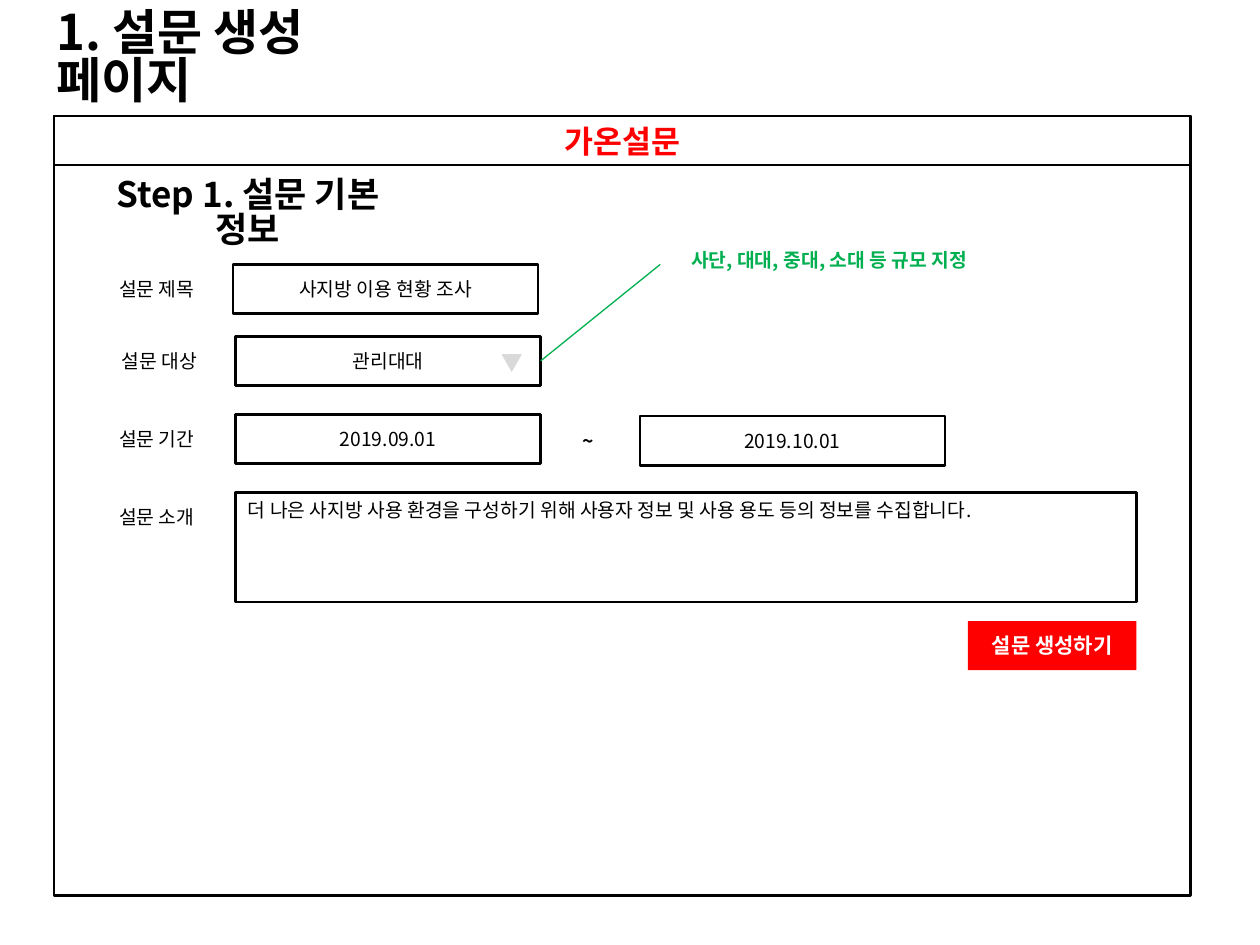
from collections import namedtuple

from lxml import etree
from pptx import Presentation
from pptx import util as u
from pptx.dml.color import RGBColor
from pptx.enum import shapes, text
from pptx.oxml.ns import qn

Box = namedtuple("Box", "x y w h")


class Theme:
    font = "Noto Sans CJK KR"
    ink, accent, note, arrow, paper = "000000", "FF0000", "00B050", "D9D9D9", "FFFFFF"
    title, brand, step, button, body = 28, 18, 20, 12, 11
    border, thin = 1.5, 0.75
    tight = 0.83  # line spacing of the wrapped headings


FIELD_W, ROW_H = 6.15, 0.99
LABEL_X, LABEL_W, FIELD_X = 0.61, 2.92, 3.66


def inside(box, x, y, w, h):
    return Box(box.x + x, box.y + y, w, h)


def lengths(box):
    return [u.Cm(value) for value in box]


def write(part, words, size=Theme.body, color=Theme.ink, bold=False,
          align=text.PP_ALIGN.CENTER, anchor=text.MSO_ANCHOR.MIDDLE, spacing=None):
    frame = part.text_frame
    frame.word_wrap = True
    frame.auto_size = text.MSO_AUTO_SIZE.NONE
    frame.vertical_anchor = anchor
    frame.text = words
    paragraph = frame.paragraphs[0]
    paragraph.alignment = align
    if spacing:
        paragraph.line_spacing = spacing
    font = paragraph.font
    font.size, font.bold, font.name = u.Pt(size), bold, Theme.font
    font.color.rgb = RGBColor.from_string(color)
    # Hangul takes its typeface from the East Asian slot
    latin = paragraph._p.pPr.find(qn("a:defRPr")).find(qn("a:latin"))
    east_asian = etree.Element(qn("a:ea"), typeface=Theme.font)
    latin.addnext(east_asian)


def add_text(slide, box, words, **style):
    label = slide.shapes.add_textbox(*lengths(box))
    write(label, words, **style)
    return label


def add_block(slide, box, fill=None, line=None, preset=shapes.MSO_SHAPE.RECTANGLE):
    block = slide.shapes.add_shape(preset, *lengths(box))
    block.shadow.inherit = False
    if fill:
        block.fill.solid()
        block.fill.fore_color.rgb = RGBColor.from_string(fill)
    else:
        block.fill.background()
    if line:
        block.line.color.rgb = RGBColor.from_string(line)
        block.line.width = u.Pt(Theme.border)
    else:
        block.line.fill.background()
    return block


def add_field(slide, box, words, **style):
    field = add_block(slide, box, line=Theme.ink)
    write(field, words, **style)
    return field


def page_title(slide, box):
    title = slide.shapes.title
    title.left, title.top, title.width, title.height = lengths(box)
    write(title, "1. 설문 생성 페이지", size=Theme.title, bold=True,
          align=text.PP_ALIGN.LEFT, spacing=Theme.tight)


def window(slide, box):
    add_block(slide, box, line=Theme.ink)
    add_field(slide, inside(box, 0, 0, box.w, ROW_H), "가온설문",
              size=Theme.brand, color=Theme.accent, bold=True)
    add_text(slide, inside(box, LABEL_X, 1.39, 6.6, 1.19), "Step 1. 설문 기본 정보",
             size=Theme.step, bold=True, spacing=Theme.tight)


def form_row(slide, box, label, value, label_dx=0, field_dx=0, **style):
    add_text(slide, inside(box, LABEL_X + label_dx, 0, LABEL_W, ROW_H), label)
    field_box = inside(box, FIELD_X + field_dx, 0, box.w, box.h)
    return add_field(slide, field_box, value, **style)


def form(slide, box):
    def row(y, w=FIELD_W, h=ROW_H):
        return inside(box, 0, y, w, h)

    form_row(slide, row(2.99), "설문 제목", "사지방 이용 현황 조사", field_dx=-0.05)
    target = form_row(slide, row(4.44), "설문 대상", "관리대대", label_dx=0.05)
    form_row(slide, row(6.02), "설문 기간", "2019.09.01")
    form_row(slide, row(7.59, 18.16, 2.21), "설문 소개",
             "더 나은 사지방 사용 환경을 구성하기 위해 사용자 정보 및 사용 용도 등의 정보를 수집합니다.",
             align=text.PP_ALIGN.LEFT, anchor=text.MSO_ANCHOR.TOP)

    # End of the survey period
    add_text(slide, inside(box, 9.3, 6.05, LABEL_W, ROW_H), "~", bold=True)
    add_field(slide, inside(box, 11.81, 6.05, FIELD_W, ROW_H), "2019.10.01")

    # Drop-down arrow
    arrow = add_block(slide, inside(box, 9.02, 4.8, 0.41, 0.36), fill=Theme.arrow,
                      preset=shapes.MSO_SHAPE.ISOSCELES_TRIANGLE)
    arrow.rotation = 180

    # Submit button
    submit = add_block(slide, inside(box, 18.42, 10.18, 3.4, ROW_H), fill=Theme.accent)
    write(submit, "설문 생성하기", size=Theme.button, color=Theme.paper, bold=True)
    return target


def target_note(slide, box, target):
    add_text(slide, box, "사단, 대대, 중대, 소대 등 규모 지정", color=Theme.note, bold=True)
    leader = slide.shapes.add_connector(
        shapes.MSO_CONNECTOR.STRAIGHT, target.left + target.width,
        target.top + target.height // 2, u.Cm(box.x), u.Cm(box.y + 0.58))
    leader.begin_connect(target, 3)
    leader.line.color.rgb = RGBColor.from_string(Theme.note)
    leader.line.width = u.Pt(Theme.thin)
    etree.SubElement(leader._element.spPr, qn("a:effectLst"))


def main():
    deck = Presentation()
    deck.slide_width, deck.slide_height = u.Cm(25.4), u.Cm(19.05)
    slide = deck.slides.add_slide(deck.slide_layouts[5])
    page = Box(1.09, 2.34, 22.91, 15.72)
    page_title(slide, Box(0.89, 0.53, 8.23, 1.35))
    window(slide, page)
    target = form(slide, page)
    target_note(slide, inside(page, 12.22, 2.41, 6.81, ROW_H), target)
    deck.save("out.pptx")


if __name__ == "__main__":
    main()
